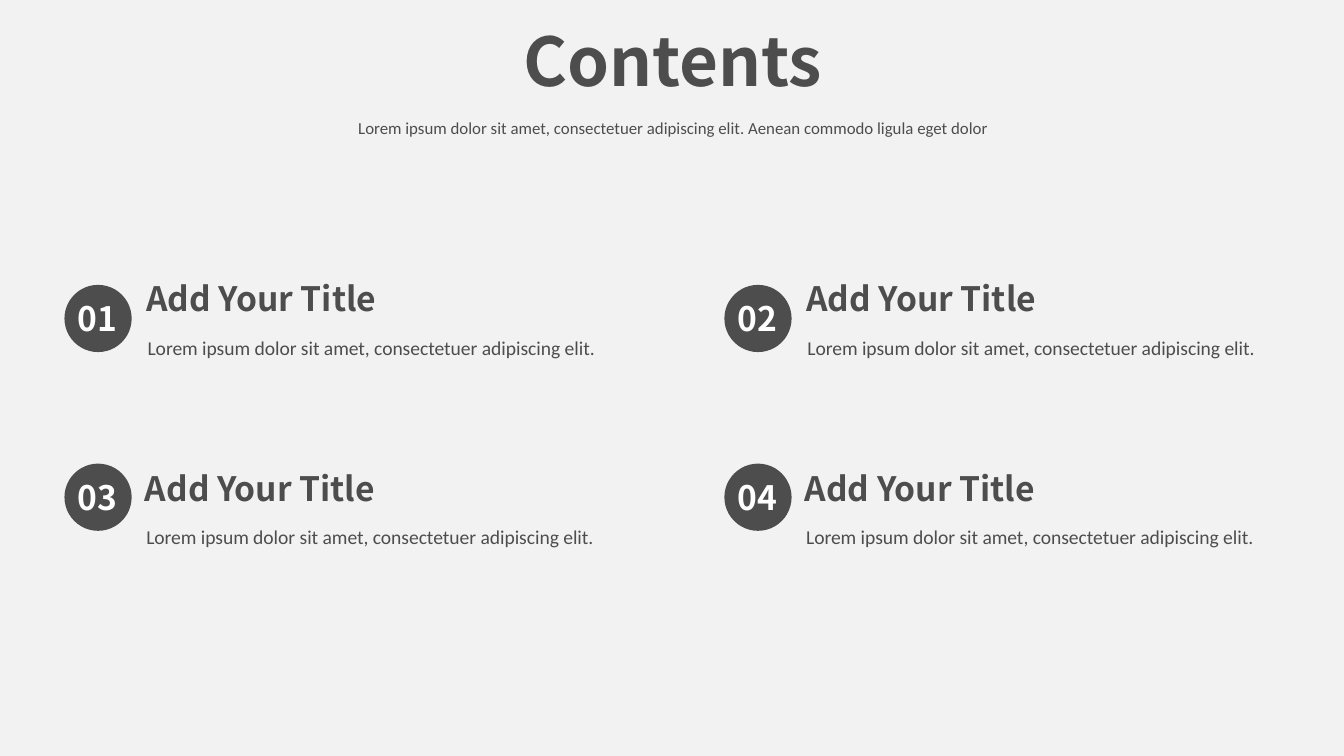
from typing import NamedTuple

from pptx import Presentation
from pptx.dml.color import RGBColor
from pptx.enum.shapes import MSO_SHAPE
from pptx.enum.text import MSO_ANCHOR, MSO_AUTO_SIZE, PP_ALIGN
from pptx.util import Pt

PX = 4572  # EMU per px, 200 px to the inch

DARK = RGBColor(0x4D, 0x4D, 0x4D)
WHITE = RGBColor(0xFF, 0xFF, 0xFF)
PAPER = RGBColor(0xF2, 0xF2, 0xF2)

LEFT, CENTER = PP_ALIGN.LEFT, PP_ALIGN.CENTER
TOP = MSO_ANCHOR.TOP
GROW = MSO_AUTO_SIZE.SHAPE_TO_FIT_TEXT
OVAL = MSO_SHAPE.OVAL

HEAD_FONT, BODY_FONT = "Noto Sans CJK SC", "Calibri"
LOREM = "Lorem ipsum dolor sit amet, consectetuer adipiscing elit."


class Box(NamedTuple):
    x: int
    y: int
    w: int
    h: int

    def emu(self) -> list[int]:
        return [v * PX for v in self]


class Style(NamedTuple):
    font: str
    size: float
    color: RGBColor = DARK
    bold: bool = False
    align: PP_ALIGN = LEFT
    spacing: float = 1.0


class Entry(NamedTuple):
    number: str
    badge_x: int
    badge_y: int
    text_x: int
    text_y: int


TITLE = Style(HEAD_FONT, 36, bold=True, align=CENTER)
SUBTITLE = Style(BODY_FONT, 9, align=CENTER, spacing=1.5)
HEADING = Style(HEAD_FONT, 18, bold=True)
BODY = Style(BODY_FONT, 10.5, spacing=1.5)
NUMBER = Style(HEAD_FONT, 18, WHITE, True, CENTER)

COLUMN_STEP = 982
ROWS = [(96, 424, 198, 404), (96, 690, 196, 686)]
ENTRIES = [
    Entry(f"{2 * row + col + 1:02}", bx + col * COLUMN_STEP, by,
          tx + col * COLUMN_STEP, ty)
    for row, (bx, by, tx, ty) in enumerate(ROWS)
    for col in range(2)
]


def write(shape, text: str, style: Style) -> None:
    tf = shape.text_frame
    frame_format = {"word_wrap": True, "auto_size": GROW, "vertical_anchor": TOP}
    for name, value in frame_format.items():
        setattr(tf, name, value)
    p = tf.paragraphs[0]
    p.alignment = style.align
    p.line_spacing = style.spacing
    r = p.add_run()
    r.text = text
    font_format = {"name": style.font, "size": Pt(style.size), "bold": style.bold}
    for name, value in font_format.items():
        setattr(r.font, name, value)
    r.font.color.rgb = style.color


def add_text(shapes, box: Box, text: str, style: Style) -> None:
    write(shapes.add_textbox(*box.emu()), text, style)


def add_entry(s, entry: Entry) -> None:
    x, y = entry.text_x, entry.text_y
    add_text(s.shapes, Box(x, y, 634, 80), "Add Your Title", HEADING)
    add_text(s.shapes, Box(x + 2, y + 68, 734, 68), LOREM, BODY)

    x, y = entry.badge_x, entry.badge_y
    badge = s.shapes.add_group_shape()
    circle = badge.shapes.add_shape(OVAL, *Box(x, y, 100, 100).emu())
    circle.shadow.inherit = False
    circle.fill.solid()
    circle.fill.fore_color.rgb = DARK
    circle.line.fill.background()
    add_text(badge.shapes, Box(x - 2, y + 10, 102, 80), entry.number, NUMBER)


def main() -> None:
    prs = Presentation()
    prs.slide_width, prs.slide_height = 2000 * PX, 1125 * PX
    s = prs.slides.add_slide(prs.slide_layouts[5])
    s.background.fill.solid()
    s.background.fill.fore_color.rgb = PAPER

    title = s.shapes.title
    title.left, title.top, title.width, title.height = Box(684, 18, 634, 142).emu()
    write(title, "Contents", TITLE)
    add_text(s.shapes, Box(452, 150, 1098, 60),
             f"{LOREM} Aenean commodo ligula eget dolor", SUBTITLE)

    for entry in ENTRIES:
        add_entry(s, entry)

    prs.save("out.pptx")


if __name__ == "__main__":
    main()
